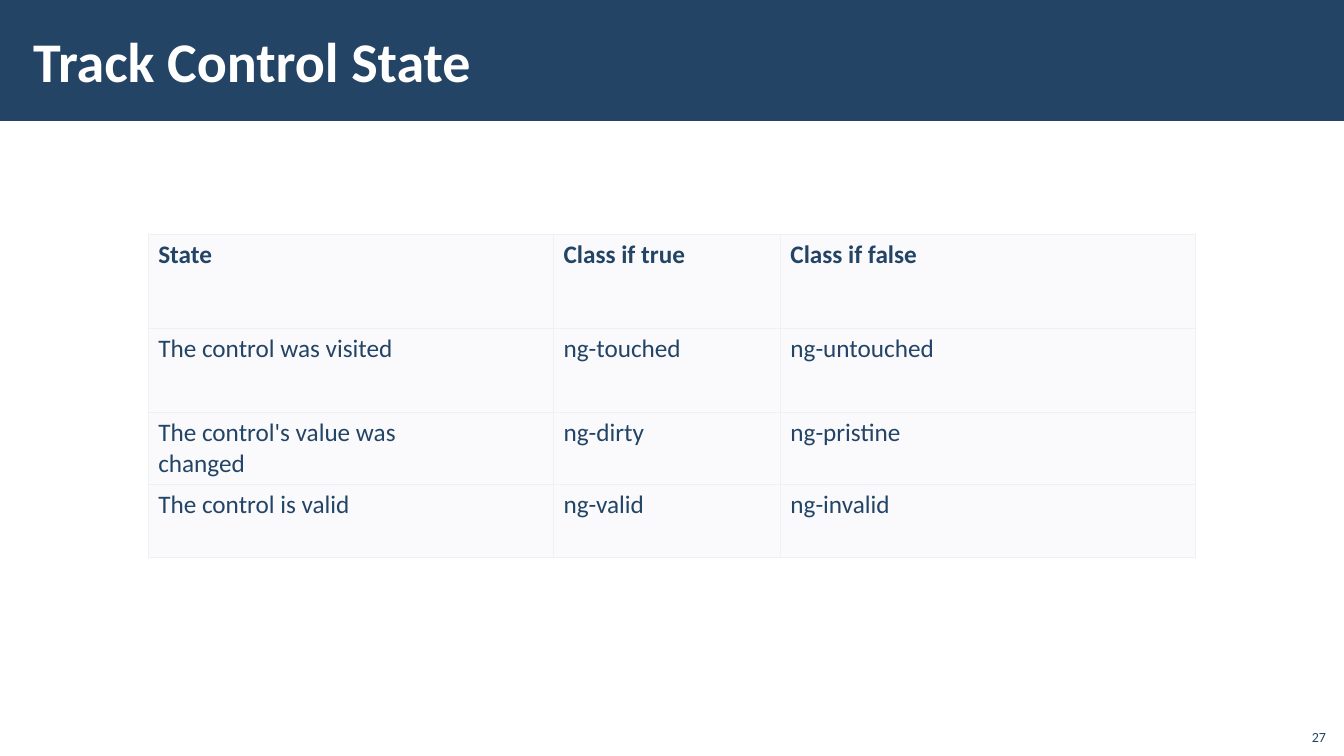
from lxml.etree import SubElement
from pptx import Presentation
from pptx.dml.color import RGBColor
from pptx.enum.shapes import MSO_SHAPE as Shape
from pptx.enum.text import MSO_ANCHOR as Anchor, PP_ALIGN as Align
from pptx.oxml.ns import qn
from pptx.util import Inches, Pt

NAVY, WHITE, PALE, BORDER = "234465", "FFFFFF", "FAFAFD", "EFF0F2"

COLUMN_WIDTHS = [4.02, 2.25, 4.12]
ROW_HEIGHTS = [0.93, 0.83, 0.72, 0.72]
CONTROL_STATES = [
    ["State", "Class if true", "Class if false"],
    ["The control was visited", "ng-touched", "ng-untouched"],
    ["The control's value was \vchanged", "ng-dirty", "ng-pristine"],
    ["The control is valid", "ng-valid", "ng-invalid"],
]


def color(hex_string):
    return RGBColor.from_string(hex_string)


def set_text(frame, text, size, hex_string, bold=False, align=Align.LEFT):
    frame.text = text
    paragraph = frame.paragraphs[0]
    paragraph.alignment = align
    font = paragraph.font
    font.name, font.size, font.bold = "Calibri", Pt(size), bold
    font.color.rgb = color(hex_string)


def add_label(slide, box, text, size, hex_string, anchor, margins, **style):
    label = slide.shapes.add_textbox(*map(Inches, box))
    frame = label.text_frame
    frame.word_wrap = True
    frame.vertical_anchor = anchor
    side, edge = map(Inches, margins)
    frame.margin_left = frame.margin_right = side
    frame.margin_top = frame.margin_bottom = edge
    set_text(frame, text, size, hex_string, **style)


def set_borders(cell, hex_string, width):
    properties = cell._tc.get_or_add_tcPr()
    # Borders come before the fill in the cell properties
    for position, side in enumerate(("a:lnL", "a:lnR", "a:lnT", "a:lnB")):
        line = SubElement(properties, qn(side), w=str(Pt(width)))
        fill = SubElement(line, qn("a:solidFill"))
        SubElement(fill, qn("a:srgbClr"), val=hex_string)
        properties.insert(position, line)


def add_header(slide, left, top, width, height):
    # Title band
    band = slide.shapes.add_shape(
        Shape.RECTANGLE, *map(Inches, (left, top, width, height)))
    band.shadow.inherit = False
    band.fill.solid()
    band.fill.fore_color.rgb = color(NAVY)
    band.line.fill.background()

    # Title
    title_box = (left + 0.21, top + 0.11, 10.63, height - 0.23)
    add_label(slide, title_box, "Track Control State", 40, WHITE,
              Anchor.MIDDLE, (0.12, 0.04), bold=True)


def add_state_table(slide, left, top):
    box = (left, top, sum(COLUMN_WIDTHS), sum(ROW_HEIGHTS))
    table = slide.shapes.add_table(
        len(ROW_HEIGHTS), len(COLUMN_WIDTHS), *map(Inches, box)).table
    for column, width in zip(table.columns, COLUMN_WIDTHS):
        column.width = Inches(width)
    for row, height in zip(table.rows, ROW_HEIGHTS):
        row.height = Inches(height)

    # Cells, with a bold heading row
    for row_index, states in enumerate(CONTROL_STATES):
        for column_index, text in enumerate(states):
            cell = table.cell(row_index, column_index)
            cell.fill.solid()
            cell.fill.fore_color.rgb = color(PALE)
            set_borders(cell, BORDER, 0.75)
            set_text(cell.text_frame, text, 18, NAVY, bold=row_index == 0)


def add_page_number(slide, left, top, width, height):
    add_label(slide, (left, top, width, height), "27", 10, NAVY,
              Anchor.BOTTOM, (0.1, 0.05), align=Align.RIGHT)


def main():
    deck = Presentation()
    deck.slide_width, deck.slide_height = Inches(13.33), Inches(7.5)
    slide = deck.slides.add_slide(deck.slide_layouts[6])
    add_header(slide, 0, 0, 13.33, 1.2)
    add_state_table(slide, 1.47, 2.33)
    add_page_number(slide, 12.85, 7.12, 0.4, 0.32)
    deck.save("out.pptx")


if __name__ == "__main__":
    main()
